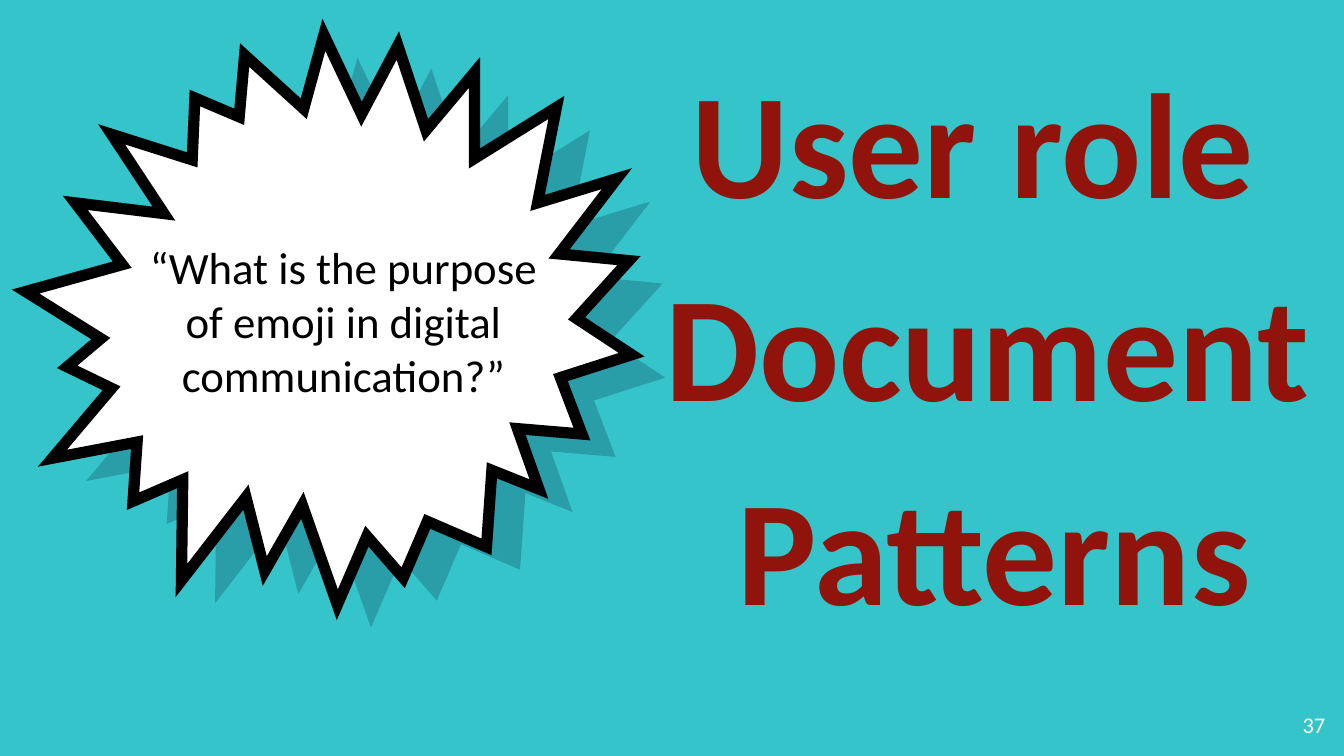
from lxml.etree import SubElement
from pptx import Presentation
from pptx.dml.color import RGBColor
from pptx.enum.text import MSO_ANCHOR, PP_ALIGN
from pptx.oxml.ns import qn
from pptx.util import Inches, Pt

W = Inches(10)
H = W * 9 // 16
UNIT = W // 1000
COLORS = {"bg": "35C4CA", "shadow": "001936", "burst": "FFFFFF",
          "outline": "000000", "title": "90140B", "number": "FFFFFF"}
BURST = [
    (178, 87), (182, 41), (226, 81), (241, 26), (269, 85), (296, 34),
    (317, 97), (353, 54), (353, 118), (414, 80), (400, 151), (459, 133),
    (416, 189), (468, 194), (429, 237), (470, 264), (417, 281), (433, 323),
    (385, 319), (401, 364), (366, 350), (362, 407), (318, 388), (300, 430),
    (273, 399), (251, 450), (225, 376), (197, 425), (183, 370), (135, 432),
    (136, 357), (99, 373), (102, 329), (39, 341), (83, 289), (50, 273),
    (75, 252), (19, 217), (91, 197), (56, 151), (122, 159), (83, 100),
    (143, 119), (145, 73),
]
TITLES = [
    ("User role", (50.5, 9.42, 45.1, 22.58)),
    ("Document", (48.5, 28.98, 50.9, 29.87)),
    ("Patterns", (53.9, 56, 44.2, 29.87)),
]


def rgb(name):
    """Return the named colour."""
    return RGBColor.from_string(COLORS[name])


def add_burst(s, color, dx=0, dy=0):
    """Add the starburst, shifted by thousandths of the slide width."""
    points = [(x + dx, y + dy) for x, y in BURST]
    fb = s.shapes.build_freeform(*points[0], scale=UNIT)
    fb.add_line_segments(points[1:], close=True)
    sp = fb.convert_to_shape()
    sp.shadow.inherit = False
    sp.fill.solid()
    sp.fill.fore_color.rgb = rgb(color)
    sp.line.fill.background()
    return sp


def set_alpha(sp, percent):
    """Set the opacity of a solid fill."""
    clr = sp._element.spPr.find(qn("a:solidFill"))[0]
    SubElement(clr, qn("a:alpha"), val=str(percent * 1000))


def set_outline(sp, color, width):
    """Give a shape a solid outline with sharp corners."""
    sp.line.color.rgb = rgb(color)
    sp.line.width = Pt(width)
    ln = sp._element.spPr.find(qn("a:ln"))
    SubElement(ln, qn("a:miter"), lim="800000")


def add_text(s, text, box, size, color, align=PP_ALIGN.LEFT,
             anchor=MSO_ANCHOR.TOP, bold=False):
    """Add a text box placed by percentages of the slide's size."""
    x, y, w, h = (round(v * side / 100) for v, side in zip(box, (W, H, W, H)))
    tf = s.shapes.add_textbox(x, y, w, h).text_frame
    tf.word_wrap = True
    tf.vertical_anchor = anchor
    tf.margin_left = tf.margin_right = Inches(0.1)
    tf.margin_top = tf.margin_bottom = Inches(0.1)
    p = tf.paragraphs[0]
    p.text = text
    p.alignment = align
    p.font.name = "Calibri"
    p.font.size = Pt(size)
    p.font.bold = bold
    p.font.color.rgb = rgb(color)


def main():
    """Build the slide and save it."""
    prs = Presentation()
    prs.slide_width, prs.slide_height = W, H
    s = prs.slides.add_slide(prs.slide_layouts[6])
    s.background.fill.solid()
    s.background.fill.fore_color.rgb = rgb("bg")

    add_text(s, "37", (93.6, 92.35, 6, 7.65), 12, "number", PP_ALIGN.RIGHT)
    set_alpha(add_burst(s, "shadow", 25, 17), 22)
    set_outline(add_burst(s, "burst"), "outline", 6)
    add_text(s, "“What is the purpose of emoji in digital communication?”",
             (9.6, 30.93, 31.9, 22.93), 24, "outline", PP_ALIGN.CENTER,
             MSO_ANCHOR.MIDDLE)
    for text, box in TITLES:
        add_text(s, text, box, 80, "title", anchor=MSO_ANCHOR.BOTTOM, bold=True)
    prs.save("out.pptx")


if __name__ == "__main__":
    main()
